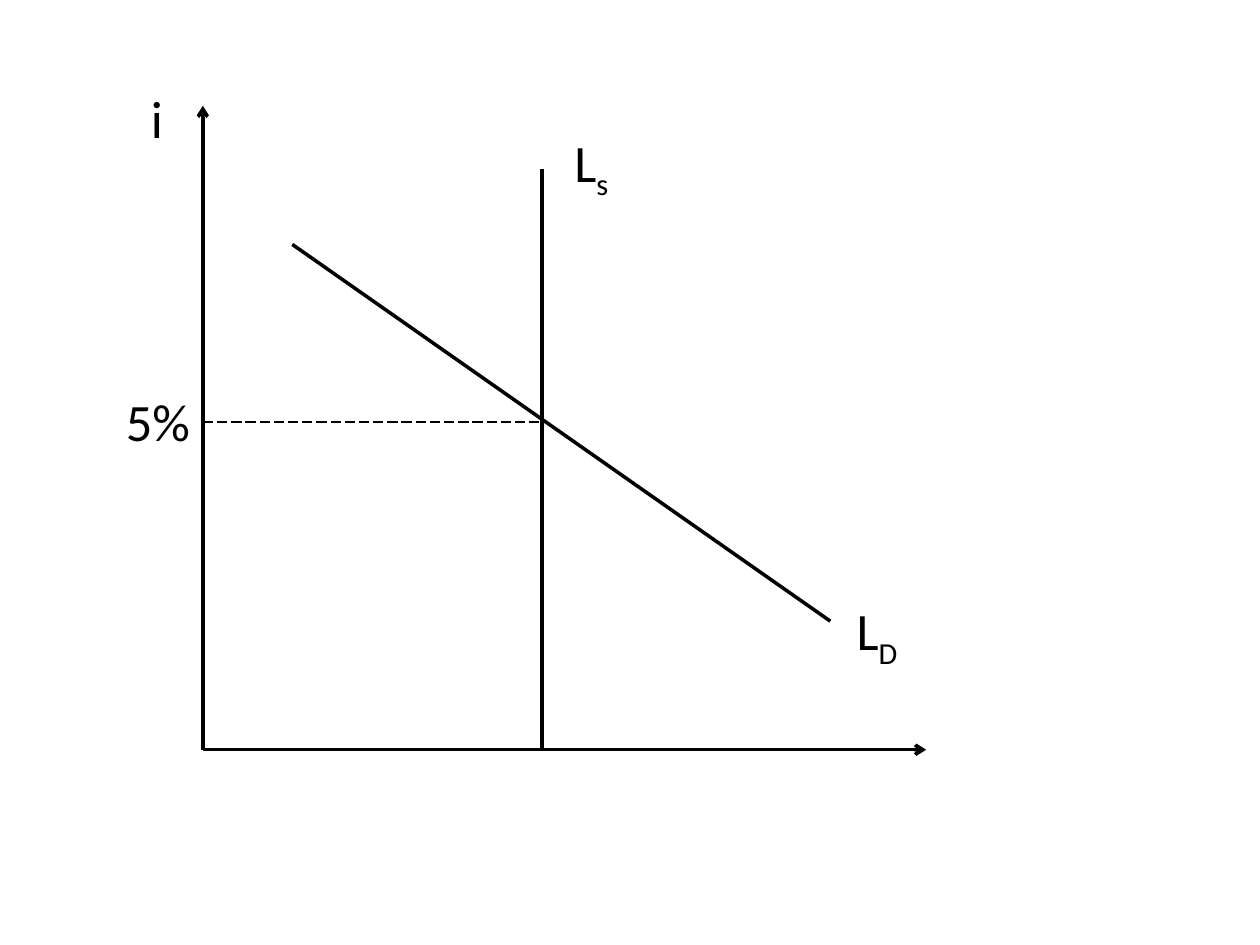
from lxml import etree
from pptx import Presentation
from pptx.dml.color import RGBColor
from pptx.enum.dml import MSO_LINE_DASH_STYLE as Dash
from pptx.enum.shapes import MSO_CONNECTOR as Connector
from pptx.enum.text import MSO_AUTO_SIZE as AutoSize
from pptx.oxml.ns import qn
from pptx.util import Inches, Pt

COLORS = {"ink": "000000"}


class Diagram:
    """Holds the style and the slide being drawn."""

    font_name = "Calibri"
    font_size = 30
    label_height = 0.61

    def __init__(self, slide):
        self.slide = slide
        self.ink = RGBColor.from_string(COLORS["ink"])

    def line(self, start, end, width=2, dash=None, arrow=False):
        points = [Inches(value) for value in (*start, *end)]
        connector = self.slide.shapes.add_connector(Connector.STRAIGHT, *points)
        connector.line.color.rgb = self.ink
        connector.line.width = Pt(width)
        if dash:
            connector.line.dash_style = dash
        if arrow:
            outline = connector.line._get_or_add_ln()
            etree.SubElement(outline, qn("a:tailEnd"), type="arrow")
        etree.SubElement(connector._element.spPr, qn("a:effectLst"))

    def label(self, left, top, width, text, subscript=None):
        box = self.slide.shapes.add_textbox(
            Inches(left), Inches(top), Inches(width), Inches(self.label_height))
        frame = box.text_frame
        frame.word_wrap = False
        frame.auto_size = AutoSize.SHAPE_TO_FIT_TEXT
        paragraph = frame.paragraphs[0]
        self.add_run(paragraph, text)
        if subscript:
            run = self.add_run(paragraph, subscript)
            run._r.get_or_add_rPr().set("baseline", "-25000")

    def add_run(self, paragraph, text):
        run = paragraph.add_run()
        run.text = text
        run.font.name = self.font_name
        run.font.size = Pt(self.font_size)
        run.font.color.rgb = self.ink
        return run


def main():
    presentation = Presentation()
    presentation.slide_width = Inches(10)
    presentation.slide_height = Inches(7.5)
    slide = presentation.slides.add_slide(presentation.slide_layouts[6])
    diagram = Diagram(slide)

    origin_x, origin_y = 1.61, 5.95
    supply_x, interest_y = 4.3, 3.35

    # Axes
    diagram.line((origin_x, origin_y), (origin_x, 0.84), arrow=True)
    diagram.line((origin_x, origin_y), (7.35, origin_y), arrow=True)

    # Liquidity supply and demand
    diagram.line((supply_x, origin_y), (supply_x, 1.34))
    diagram.label(4.46, 0.98, 0.49, "L", subscript="s")
    diagram.label(6.7, 4.7, 0.55, "L", subscript="D")
    diagram.line((6.59, 4.93), (2.32, 1.94))

    # Equilibrium interest rate
    diagram.line((origin_x, interest_y), (supply_x, interest_y),
                 width=0.75, dash=Dash.LONG_DASH)
    diagram.label(1.1, 0.63, 0.3, "i")
    diagram.label(0.9, 3.04, 0.72, "5%")

    presentation.save("out.pptx")


if __name__ == "__main__":
    main()
